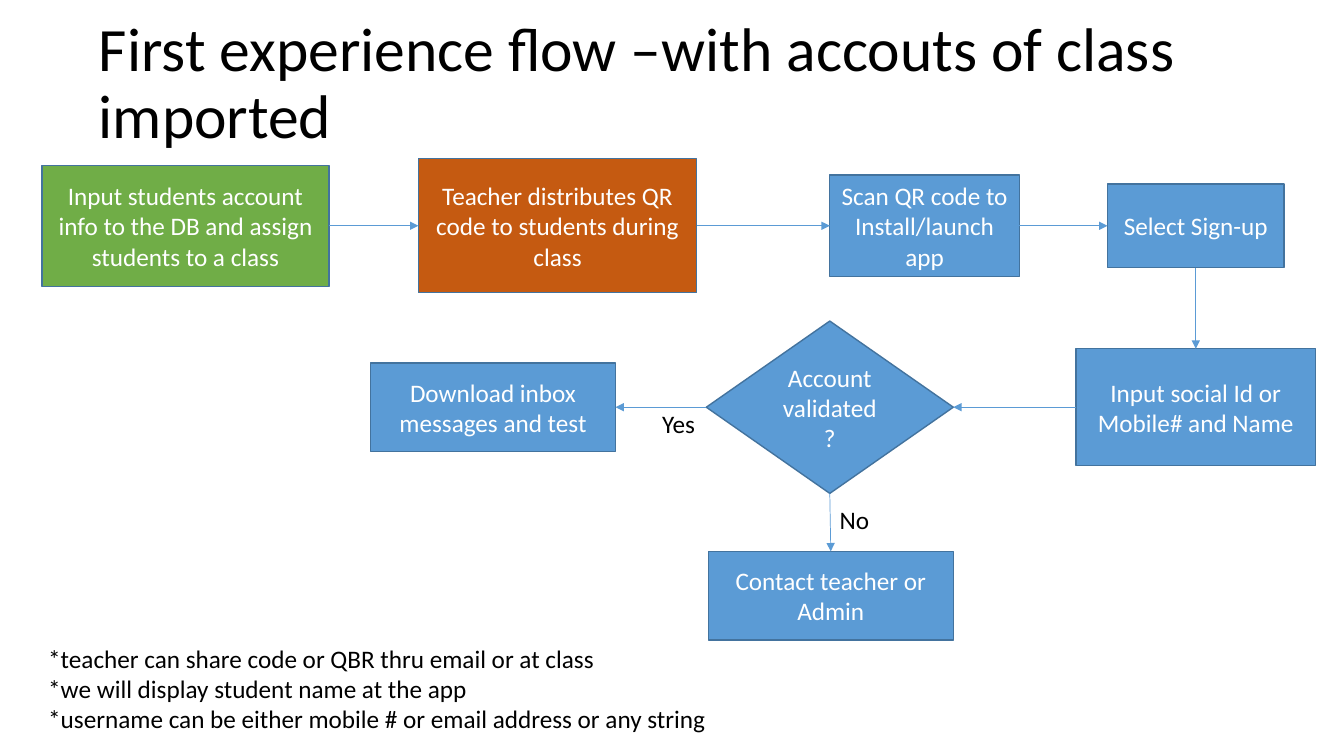
from pptx import Presentation
from pptx.util import Inches, Pt
from pptx.dml.color import RGBColor
from pptx.enum.shapes import MSO_SHAPE as Kind, MSO_CONNECTOR as Wire
from pptx.enum.text import PP_ALIGN as Align, MSO_ANCHOR as Anchor, MSO_AUTO_SIZE as Fit
from pptx.oxml.ns import qn
from lxml.etree import SubElement

# Content
TITLE = "First experience flow –with accouts of class imported"
BLUE, GREEN, RUST = "5B9BD5", "70AD47", "C55A11"
EDGE, WHITE, BLACK = "43739E", "FFFFFF", "000000"
ROWS = 2.24, 4.04, 5.91  # centre height of each row
# name: (text, centre x, row, width, height, fill)
STEPS = {
    "assign": ("Input students account info to the DB and assign students to a class",
               1.84, 0, 2.85, 1.2, GREEN),
    "share": ("Teacher distributes QR code to students during class",
              5.53, 0, 2.76, 1.33, RUST),
    "scan": ("Scan QR code to Install/launch app", 9.17, 0, 1.88, 1.01, BLUE),
    "sign": ("Select Sign-up", 11.86, 0, 1.75, 0.83, BLUE),
    "input": ("Input social Id or Mobile# and Name", 11.86, 1, 2.38, 1.16, BLUE),
    "check": ("Account validated?", 8.23, 1, 2.45, 1.71, BLUE),
    "test": ("Download inbox messages and test", 4.89, 1, 2.43, 0.88, BLUE),
    "contact": ("Contact teacher or Admin", 8.24, 2, 2.43, 0.88, BLUE),
}
TOP, LEFT, BOTTOM, RIGHT = range(4)  # connection sites
LINKS = [
    ("assign", RIGHT, "share", LEFT),
    ("share", RIGHT, "scan", LEFT),
    ("scan", RIGHT, "sign", LEFT),
    ("sign", BOTTOM, "input", TOP),
    ("input", LEFT, "check", RIGHT),
    ("check", LEFT, "test", RIGHT),
    ("check", BOTTOM, "contact", TOP),
]
NOTES = [
    "*teacher can share code or QBR thru email or at class",
    "*we will display student name at the app",
    "*username can be either mobile # or email address or any string",
]
# lines, left, top, width, height
LABELS = [
    (NOTES, 0.38, 6.33, 6.8, 1.01),
    (["Yes"], 6.47, 4, 0.53, 0.4),
    (["No"], 8.23, 4.95, 0.5, 0.4),
]


def tint(code):
    return RGBColor.from_string(code)


def write(frame, lines, size, color, align):
    frame.text = "\n".join(lines)
    for para in frame.paragraphs:
        para.alignment = align
        para.font.name = "Calibri"
        para.font.size = Pt(size)
        para.font.color.rgb = tint(color)


def place(*sizes):
    return [Inches(size) for size in sizes]


deck = Presentation()
deck.slide_width, deck.slide_height = place(13.33, 7.5)
slide = deck.slides.add_slide(deck.slide_layouts[5])
parts = slide.shapes

# Title
title = parts.title
title.left, title.top, title.width, title.height = place(0.88, 0.12, 11.5, 1.45)
frame = title.text_frame
write(frame, [TITLE], 44, BLACK, Align.LEFT)
frame.auto_size = Fit.NONE
frame.vertical_anchor = Anchor.MIDDLE
frame.paragraphs[0].line_spacing = 0.9

# Steps
boxes = {}
for name, (text, mid, row, wide, high, fill) in STEPS.items():
    kind = Kind.DIAMOND if name == "check" else Kind.RECTANGLE
    box = parts.add_shape(kind, *place(mid - wide / 2, ROWS[row] - high / 2, wide, high))
    box.shadow.inherit = False
    box.fill.solid()
    box.fill.fore_color.rgb = tint(fill)
    box.line.color.rgb = tint(EDGE)
    box.line.width = Pt(1)
    box.text_frame.word_wrap = True
    box.text_frame.vertical_anchor = Anchor.MIDDLE
    write(box.text_frame, [text], 18, WHITE, Align.CENTER)
    boxes[name] = box

# Arrows between steps
for start, out, end, into in LINKS:
    link = parts.add_connector(Wire.STRAIGHT, 0, 0, 0, 0)
    link.begin_connect(boxes[start], out)
    link.end_connect(boxes[end], into)
    link.line.color.rgb = tint(BLUE)
    link.line.width = Pt(0.5)
    SubElement(link.line._get_or_add_ln(), qn("a:tailEnd"), type="triangle")
    SubElement(link._element.spPr, qn("a:effectLst"))

# Notes and branch labels
for lines, *spot in LABELS:
    label = parts.add_textbox(*place(*spot))
    label.text_frame.word_wrap = False
    label.text_frame.auto_size = Fit.SHAPE_TO_FIT_TEXT
    write(label.text_frame, lines, 18, BLACK, Align.LEFT)

deck.save("out.pptx")
